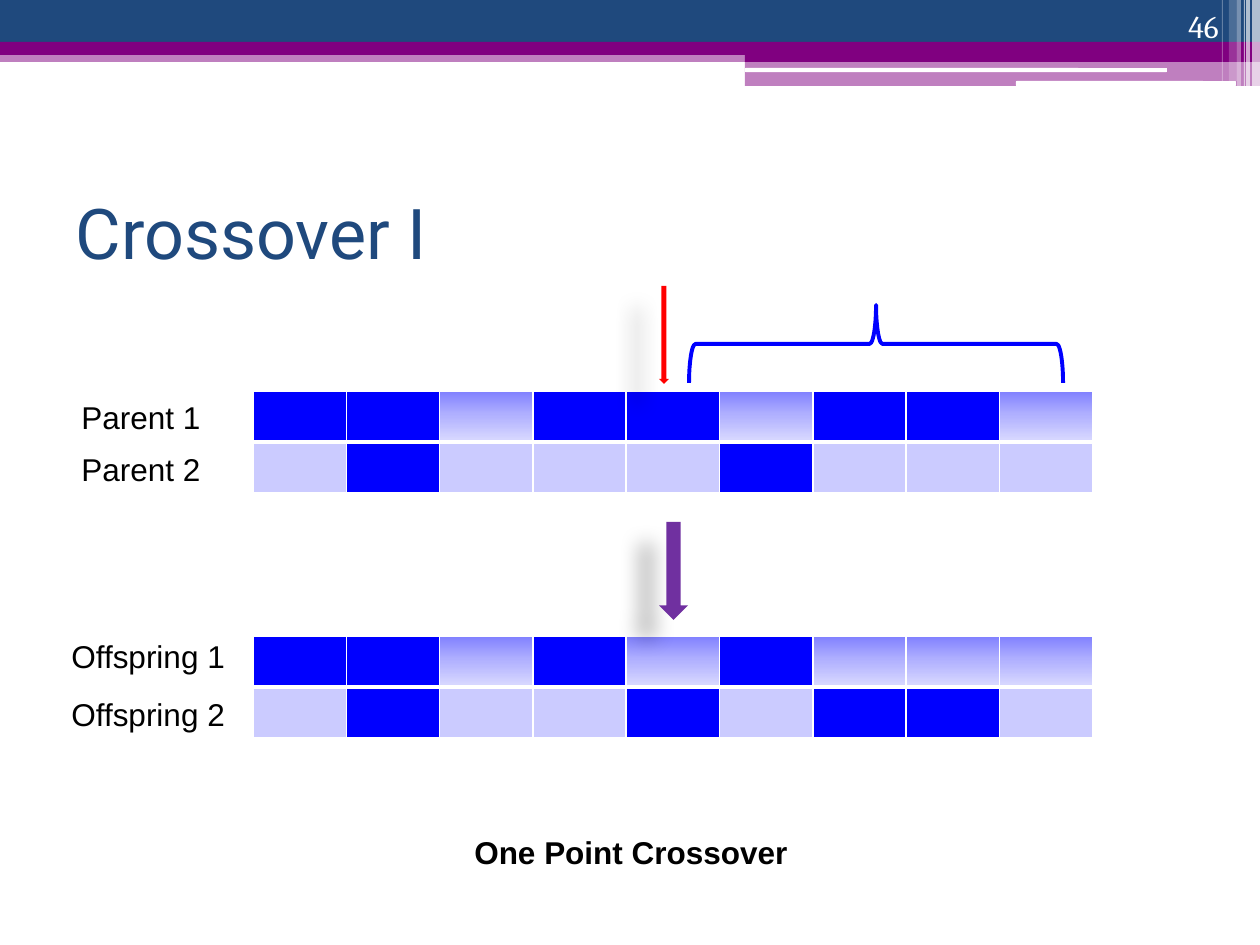
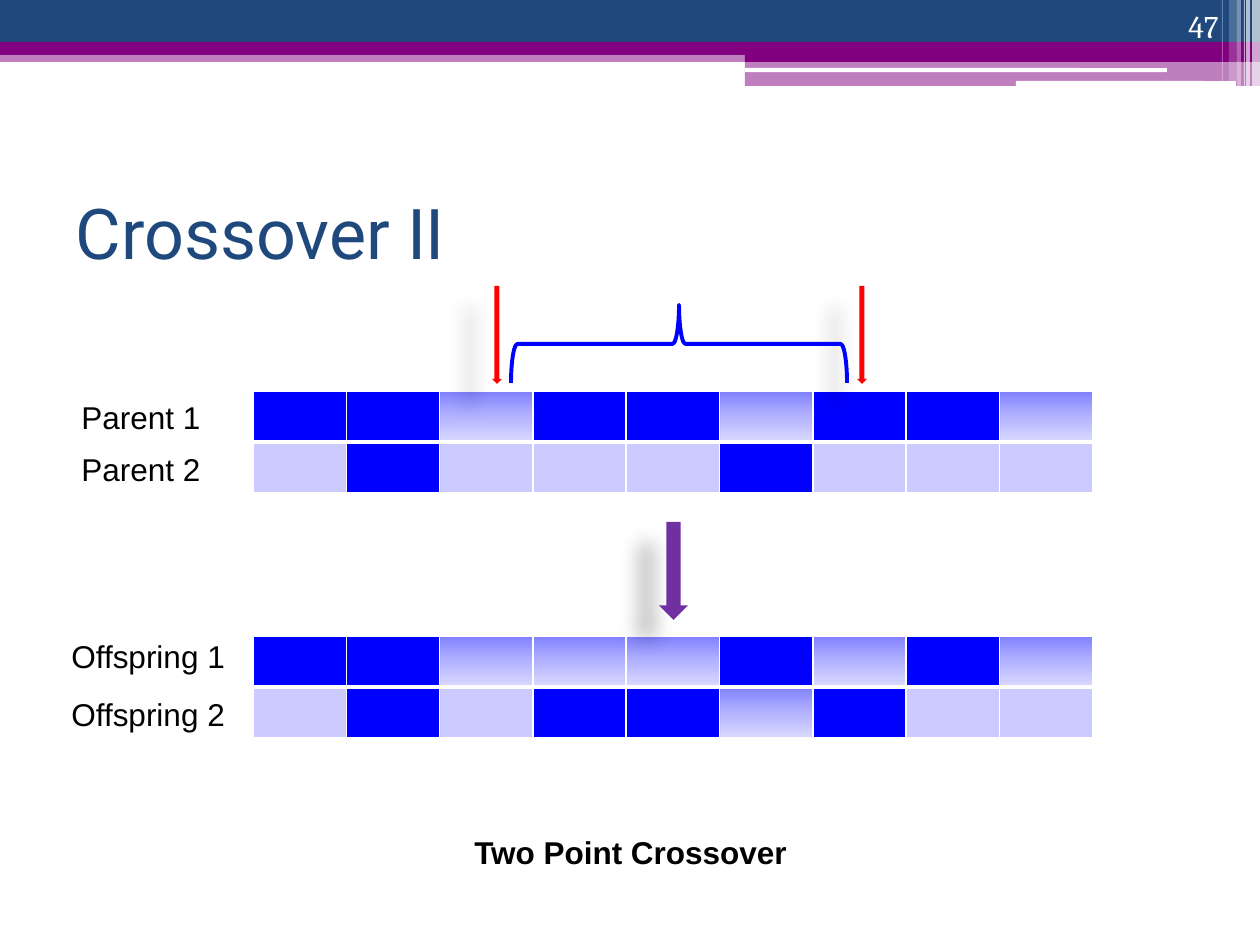
import pptx
import pptx.util
import pptx.oxml
import pptx.oxml.ns
from pptx.dml.color import RGBColor
from pptx.enum.shapes import MSO_SHAPE
from pptx.enum.text import MSO_ANCHOR, MSO_AUTO_SIZE, PP_ALIGN

EMU_PER_PX = 914400 / 126

NAVY = RGBColor(0x1F, 0x49, 0x7D)
PLUM = RGBColor(0x80, 0x00, 0x80)
WHITE = RGBColor(0xFF, 0xFF, 0xFF)
BLACK = RGBColor(0x00, 0x00, 0x00)
BLUE = RGBColor(0x00, 0x00, 0xFF)
PALE = RGBColor(0xCB, 0xCB, 0xFF)
RED = RGBColor(0xFF, 0x00, 0x00)
PURPLE = RGBColor(0x70, 0x30, 0xA0)
GENE_GRADIENT = (
    (0, RGBColor(0x80, 0x80, 0xFF)),
    (50, RGBColor(0xB3, 0xB3, 0xFF)),
    (100, RGBColor(0xDA, 0xDA, 0xFF)),
)

RECT, ROUND = MSO_SHAPE.RECTANGLE, MSO_SHAPE.ROUNDED_RECTANGLE
# preset, left, top, width, height, colour, opacity in percent
BANDS = (
    (RECT, 0, 50, 1260, 12, PLUM, 50),
    (RECT, 0, 0, 1260, 42, NAVY, 100),
    (RECT, 0, 42, 1260, 13, PLUM, 100),
    (RECT, 745, 49, 515, 13, PLUM, 100),
    (RECT, 745, 61, 515, 25, PLUM, 50),
    (ROUND, 745, 68, 422, 4, WHITE, 100),
    (ROUND, 1016, 81, 220, 5, WHITE, 100),
    (RECT, 1252, 0, 8, 86, WHITE, 65),
    (RECT, 1246, 0, 4, 86, WHITE, 65),
    (RECT, 1244, 0, 1, 86, WHITE, 60),
    (RECT, 1237, 0, 4, 86, WHITE, 40),
    (RECT, 1229, 0, 8, 81, WHITE, 20),
    (RECT, 1222, 0, 1, 81, WHITE, 30),
)

LABELS = (
    ("Parent 1", 69, 392, 178),
    ("Parent 2", 69, 444, 146),
    ("Offspring 1", 59, 631, 181),
    ("Offspring 2", 59, 689, 181),
)

# One letter per gene: B blue, G gradient, P pale
PARENTS = ("BBGBBGBBG", "PBPPPBPPP")
PARENTS_TOP, OFFSPRING_TOP = 391, 636
CUT_TOP, RESULT_TOP = 286, 522


def px(*lengths):
    return [pptx.util.Emu(round(n * EMU_PER_PX)) for n in lengths]


def xml(markup):
    return pptx.oxml.parse_xml(markup.replace(" ", f" {pptx.oxml.ns.nsdecls('a')} ", 1))


def set_text(tf, text, font="Arial", size=18, color=BLACK, bold=False,
             align=PP_ALIGN.LEFT, anchor=MSO_ANCHOR.TOP, wrap=True):
    tf.word_wrap = wrap
    tf.auto_size = MSO_AUTO_SIZE.NONE
    tf.vertical_anchor = anchor
    p = tf.paragraphs[0]
    p.alignment = align
    r = p.add_run()
    r.text = text
    r.font.name, r.font.size, r.font.bold = font, pptx.util.Pt(size), bold
    r.font.color.rgb = color


def add_text(s, text, left, top, width, height=51, **fmt):
    set_text(s.shapes.add_textbox(*px(left, top, width, height)).text_frame, text, **fmt)


def add_filled(s, preset, left, top, width, height, color, opacity=100):
    sp = s.shapes.add_shape(preset, *px(left, top, width, height))
    sp.shadow.inherit = False
    sp.line.fill.background()
    sp.fill.solid()
    sp.fill.fore_color.rgb = color
    if opacity < 100:
        clr = sp.element.spPr.find(".//" + pptx.oxml.ns.qn("a:srgbClr"))
        clr.append(xml(f'<a:alpha val="{opacity * 1000}"/>'))
    return sp


def move_bands_to_layout(s):
    """Draw the bands on a slide, then hand them to its layout for all slides."""
    layout = s.slide_layout
    for ph in list(layout.placeholders)[1:]:
        layout.shapes.element.remove(ph.element)
    for sp in [add_filled(s, *band) for band in BANDS]:
        layout.shapes.element.append(sp.element)


def add_down_arrow(s, left, top, width, color):
    sp = add_filled(s, MSO_SHAPE.DOWN_ARROW, left, top, width, 98, color)
    effects = sp.element.spPr.find(pptx.oxml.ns.qn("a:effectLst"))
    effects.append(xml(
        f'<a:outerShdw blurRad="{pptx.util.Pt(11.8)}" dist="{pptx.util.Pt(19.7)}" '
        f'dir="{141 * 60000}" algn="ctr" rotWithShape="0">'
        '<a:srgbClr val="000000"><a:alpha val="28000"/></a:srgbClr></a:outerShdw>'))


def add_brace(s, left, width, top=305, height=78):
    """Add a brace pointing up; the box given is the one seen after rotation."""
    shift = (width - height) / 2
    sp = s.shapes.add_shape(MSO_SHAPE.LEFT_BRACE,
                            *px(left + shift, top - shift, height, width))
    sp.rotation = 90
    sp.shadow.inherit = False
    sp.fill.background()
    sp.line.color.rgb = BLUE
    sp.line.width = pptx.util.Pt(2.25)


def format_gene(cell, gene, borders):
    tcPr = cell._tc.get_or_add_tcPr()
    for side, points in borders.items():
        tcPr.append(xml(
            f'<a:ln{side} w="{pptx.util.Pt(points)}"><a:solidFill>'
            f'<a:srgbClr val="{WHITE}"/></a:solidFill></a:ln{side}>'))
    if gene == "G":
        stops = "".join(f'<a:gs pos="{pos * 1000}"><a:srgbClr val="{color}"/></a:gs>'
                        for pos, color in GENE_GRADIENT)
        tcPr.append(xml(f'<a:gradFill rotWithShape="1"><a:gsLst>{stops}</a:gsLst>'
                        '<a:lin ang="5400000" scaled="0"/></a:gradFill>'))
    else:
        cell.fill.solid()
        cell.fill.fore_color.rgb = BLUE if gene == "B" else PALE


def add_chromosomes(s, top, rows):
    table = s.shapes.add_table(len(rows), len(rows[0]), *px(253, top, 840, 102)).table
    table.first_row = table.horz_banding = False
    for i, genes in enumerate(rows):
        inner_side = "B" if i == 0 else "T"
        borders = {"L": 1, "R": 1, "T": 1, "B": 1, inner_side: 3}
        for j, gene in enumerate(genes):
            format_gene(table.cell(i, j), gene, borders)


def add_crossover_slide(prs, number, title, caption, offspring, cuts, brace):
    s = prs.slides.add_slide(prs.slide_layouts[5])
    sp = s.shapes.title
    sp.left, sp.top, sp.width, sp.height = px(63, 158, 1134, 147)
    set_text(sp.text_frame, title, font="Roboto", size=40, color=NAVY,
             anchor=MSO_ANCHOR.MIDDLE)
    if number == 46:
        move_bands_to_layout(s)
    add_chromosomes(s, PARENTS_TOP, PARENTS)
    add_chromosomes(s, OFFSPRING_TOP, offspring)
    for label in LABELS:
        add_text(s, *label)
    for left in cuts:
        add_down_arrow(s, left, CUT_TOP, 10, RED)
    add_down_arrow(s, 659, RESULT_TOP, 29, PURPLE)
    add_brace(s, *brace)
    add_text(s, caption, 462, 827, 341, bold=True, wrap=False)
    add_text(s, str(number), 1126, 0, 105, font="Cambria", color=WHITE,
             align=PP_ALIGN.RIGHT, anchor=MSO_ANCHOR.BOTTOM)


def main():
    prs = pptx.Presentation()
    prs.slide_width, prs.slide_height = px(1260, 945)
    add_crossover_slide(prs, 46, "Crossover I", "One Point Crossover",
                        offspring=("BBGBGBGGG", "PBPPBPBBP"),
                        cuts=(659,), brace=(689, 374))
    add_crossover_slide(prs, 47, "Crossover II", "Two Point Crossover",
                        offspring=("BBGGGBGBG", "PBPBBGBPP"),
                        cuts=(492, 857), brace=(511, 336))
    prs.save("out.pptx")


if __name__ == "__main__":
    main()
